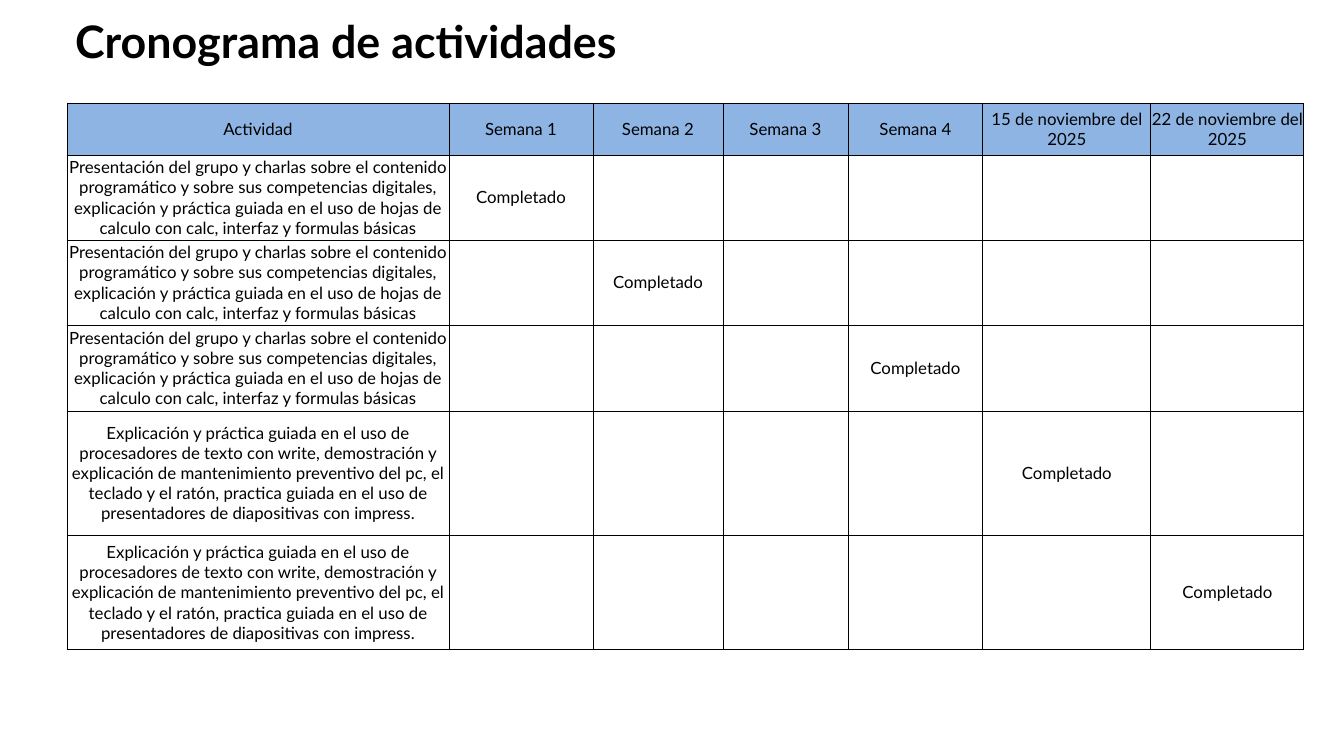
"""Build the activity schedule slide: a title above a weekly progress table."""
from lxml.etree import SubElement
from pptx import Presentation
from pptx.dml.color import RGBColor
from pptx.enum.text import MSO_ANCHOR, MSO_AUTO_SIZE, PP_ALIGN
from pptx.oxml.ns import qn
from pptx.util import Inches, Pt

TITLE = "Cronograma de actividades"
HEADERS = [
    "Actividad", "Semana 1", "Semana 2", "Semana 3", "Semana 4",
    "15 de noviembre del 2025", "22 de noviembre del 2025",
]
SPREADSHEETS = (
    "Presentación del grupo y charlas sobre el contenido programático y sobre sus "
    "competencias digitales, explicación y práctica guiada en el uso de hojas de "
    "calculo con calc, interfaz y formulas básicas"
)
DOCUMENTS = (
    "Explicación y práctica guiada en el uso de procesadores de texto con write, "
    "demostración y explicación de mantenimiento preventivo del pc, el teclado y el "
    "ratón, practica guiada en el uso de presentadores de diapositivas con impress."
)
DONE = "Completado"
ACTIVITIES = [
    (SPREADSHEETS, "Semana 1"),
    (SPREADSHEETS, "Semana 2"),
    (SPREADSHEETS, "Semana 4"),
    (DOCUMENTS, "15 de noviembre del 2025"),
    (DOCUMENTS, "22 de noviembre del 2025"),
]

SLIDE_SIZE = (1344, 756)
TITLE_BOX = (-202, 42, 1096, 32)
TABLE_CORNER = (67, 103)
COLUMN_WIDTHS = [382, 144, 130, 125, 135, 168, 153]
ROW_HEIGHTS = [52, 85, 85, 86, 124, 115]

FONT = "Lato"
BLACK, WHITE, HEADER_BLUE = "000000", "FFFFFF", "8EB4E3"
BORDER_WIDTH = Pt(1)


def px(length):
    return round(length * Inches(1) / 67.2)


def color(code):
    return RGBColor.from_string(code)


def write(frame, text, size=18, bold=False, line_spacing=None):
    frame.text = text
    frame.word_wrap = True
    paragraph = frame.paragraphs[0]
    paragraph.alignment = PP_ALIGN.CENTER
    if line_spacing:
        paragraph.line_spacing = Pt(line_spacing)
    font = paragraph.font
    font.name, font.size, font.bold = FONT, Pt(size), bold
    font.color.rgb = color(BLACK)


def add_borders(cell):
    properties = cell._tc.get_or_add_tcPr()
    for side in ("lnL", "lnR", "lnT", "lnB"):
        border = SubElement(properties, qn(f"a:{side}"), w=str(BORDER_WIDTH))
        border_fill = SubElement(border, qn("a:solidFill"))
        SubElement(border_fill, qn("a:srgbClr"), val=BLACK)


def format_cell(cell, text, fill):
    cell.margin_left = cell.margin_right = cell.margin_top = cell.margin_bottom = 0
    cell.vertical_anchor = MSO_ANCHOR.MIDDLE
    add_borders(cell)
    cell.fill.solid()
    cell.fill.fore_color.rgb = color(fill)
    write(cell.text_frame, text)


def add_title(slide):
    title = slide.shapes.title
    title.left, title.top, title.width, title.height = map(px, TITLE_BOX)
    frame = title.text_frame
    frame.margin_left = frame.margin_right = frame.margin_top = frame.margin_bottom = 0
    frame.vertical_anchor = MSO_ANCHOR.TOP
    write(frame, TITLE, size=48, bold=True, line_spacing=27)
    frame.auto_size = MSO_AUTO_SIZE.SHAPE_TO_FIT_TEXT


def add_schedule(slide):
    rows = [HEADERS] + [
        [activity] + [DONE if header == finished else "" for header in HEADERS[1:]]
        for activity, finished in ACTIVITIES
    ]
    left, top = map(px, TABLE_CORNER)
    schedule = slide.shapes.add_table(
        len(rows), len(HEADERS), left, top,
        px(sum(COLUMN_WIDTHS)), px(sum(ROW_HEIGHTS)),
    ).table
    for column, width in zip(schedule.columns, COLUMN_WIDTHS):
        column.width = px(width)
    for r, (texts, height) in enumerate(zip(rows, ROW_HEIGHTS)):
        schedule.rows[r].height = px(height)
        for c, text in enumerate(texts):
            format_cell(schedule.cell(r, c), text, WHITE if r else HEADER_BLUE)


def main():
    deck = Presentation()
    deck.slide_width, deck.slide_height = map(px, SLIDE_SIZE)
    slide = deck.slides.add_slide(deck.slide_layouts.get_by_name("Title Only"))
    add_title(slide)
    add_schedule(slide)
    deck.save("out.pptx")


if __name__ == "__main__":
    main()
